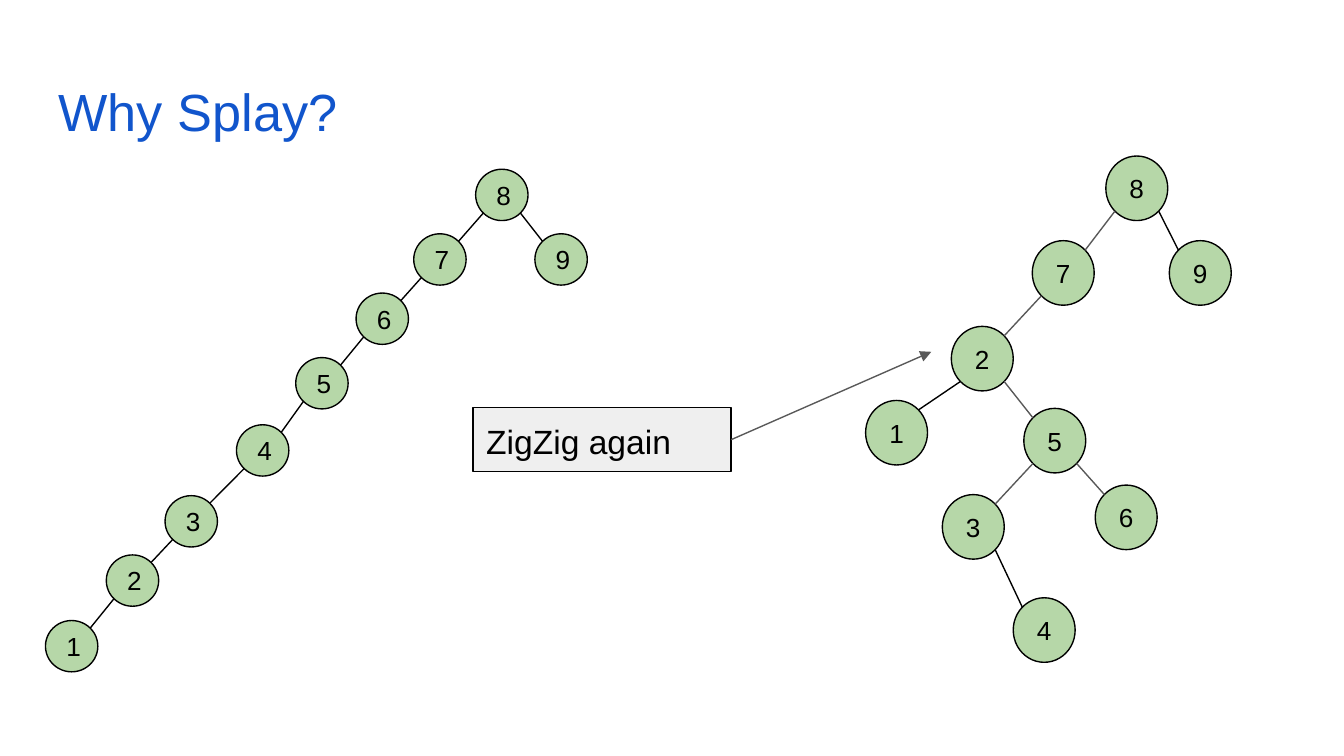
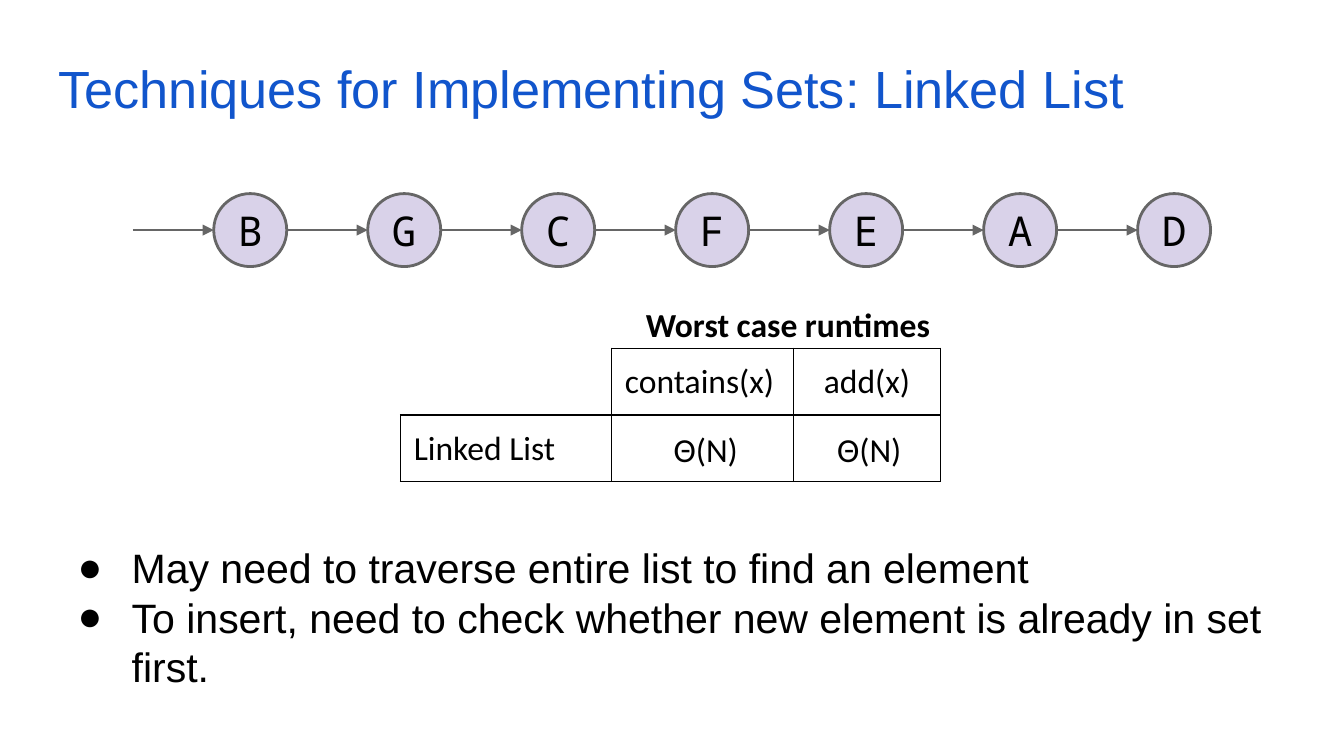
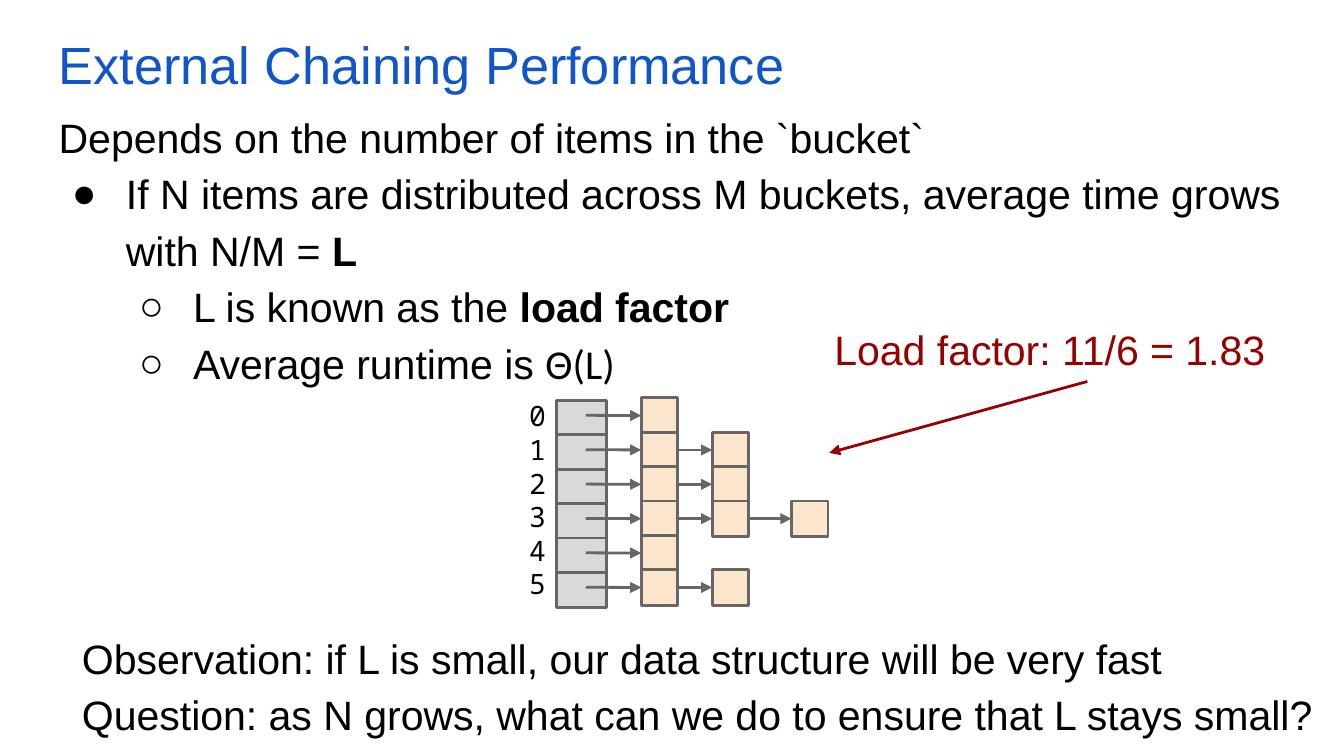
from dataclasses import dataclass
from math import sqrt
from typing import NamedTuple

from lxml.etree import SubElement
from pptx import Presentation
from pptx.dml.color import RGBColor as Rgb
from pptx.enum.shapes import MSO_CONNECTOR as Link, MSO_SHAPE as Kind
from pptx.enum.text import MSO_ANCHOR as Anchor, PP_ALIGN as Align
from pptx.oxml.ns import qn
from pptx.util import Cm, Pt

# Shared look
COLORS = {
    "title": "1155CC", "ink": "000000", "green": "B6D7A8", "pale": "EFEFEF",
    "edge": "595959", "gray": "666666", "lilac": "D9D2E9",
    "slot": "D9D9D9", "peach": "FCE5CD", "red": "980000",
}
SANS, BODY, MONO = "Arial", "Calibri", "Noto Sans Mono"
PAD = Cm(0.25)
HANG = 1.02


class Run(NamedTuple):
    text: str
    bold: bool = False
    font: str | None = None


class Para(NamedTuple):
    runs: list[Run]
    bullet: str = ""
    level: int = 0


class Box(NamedTuple):
    left: float
    top: float
    width: float
    height: float

    def cm(self) -> list[int]:
        return [Cm(v) for v in self]

    def corner(self, right: bool, low: bool) -> tuple[float, float]:
        """Point on the inscribed ellipse at 45 degrees."""
        x, y = [(1 + (1 if far else -1) / sqrt(2)) / 2 for far in (right, low)]
        return self.left + x * self.width, self.top + y * self.height


class Edge(NamedTuple):
    top: str
    low: str
    color: str = "ink"


@dataclass
class Tree:
    size: tuple[float, float]
    spots: dict[str, tuple[float, float]]
    edges: list[Edge]
    align: Align


def rgb(name: str) -> Rgb:
    return Rgb.from_string(COLORS[name])


# Text
def write(frame, text, *, size=22, font=SANS, color="ink", bold=False,
          align=Align.LEFT, anchor=Anchor.TOP, spacing=None):
    """Fill a frame with a string or a list of paragraphs."""
    frame.margin_left = frame.margin_right = PAD
    frame.margin_top = frame.margin_bottom = PAD
    frame.word_wrap = True
    frame.vertical_anchor = anchor
    paras = [Para([Run(text)])] if isinstance(text, str) else text
    for i, item in enumerate(paras):
        para = frame.add_paragraph() if i else frame.paragraphs[0]
        para.alignment, para.level = align, item.level
        if spacing:
            para.line_spacing = spacing
        if item.bullet:
            props = para._p.get_or_add_pPr()
            props.set("marL", str(Cm(1.27 * (item.level + 1))))
            props.set("indent", str(-Cm(HANG)))
            SubElement(props, qn("a:buFont"), typeface=SANS)
            SubElement(props, qn("a:buChar"), char=item.bullet)
        for part in item.runs:
            run = para.add_run()
            run.text = part.text
            run.font.size = Pt(size)
            run.font.name = part.font or font
            run.font.bold = bold or part.bold
            run.font.color.rgb = rgb(color)


def label(slide, box: Box, text, **form):
    write(slide.shapes.add_textbox(*box.cm()).text_frame, text, **form)


def plain(*lines: str) -> list[Para]:
    return [Para([Run(line)]) for line in lines]


# Shapes and lines
def block(shapes, kind: Kind, box: Box, fill: str, line="gray", width=1.5):
    shape = shapes.add_shape(kind, *box.cm())
    shape.shadow.inherit = False
    shape.fill.solid()
    shape.fill.fore_color.rgb = rgb(fill)
    shape.line.color.rgb = rgb(line)
    shape.line.width = Pt(width)
    return shape


def draw(shapes, start, end, color="gray", width=1.5, arrow=True):
    line = shapes.add_connector(Link.STRAIGHT, *[Cm(v) for v in (*start, *end)])
    line.line.color.rgb = rgb(color)
    line.line.width = Pt(width)
    if arrow:
        SubElement(line.line._get_or_add_ln(), qn("a:tailEnd"), type="triangle")
    SubElement(line._element.spPr, qn("a:effectLst"))
    return line


def rule(cell, sides: str):
    """Draw thin borders on the given sides and clear the others."""
    props = cell._tc.get_or_add_tcPr()
    for i, side in enumerate("LRTB"):
        ln = SubElement(props, qn(f"a:ln{side}"), w=str(Pt(0.75)))
        if side in sides:
            fill = SubElement(ln, qn("a:solidFill"))
            SubElement(fill, qn("a:srgbClr"), val=COLORS["ink"])
        else:
            SubElement(ln, qn("a:noFill"))
        props.insert(i, ln)


def page(deck, title: str, top: float):
    slide = deck.slides.add_slide(deck.slide_layouts[6])
    label(slide, Box(0.86, top, 23.67, 1.6), title, size=28, color="title")
    return slide


# Slide 1: two search trees
LONG = Tree(
    (0.99, 0.97),
    {"1": (0.86, 11.73), "2": (2.01, 10.49), "3": (3.12, 9.37),
     "4": (4.47, 8.03), "5": (5.59, 6.76), "6": (6.73, 5.54),
     "7": (7.82, 4.42), "8": (8.99, 3.2), "9": (10.11, 4.42)},
    [Edge(str(n), str(n - 1)) for n in range(8, 1, -1)] + [Edge("8", "9")],
    Align.LEFT,
)
SPLAY = Tree(
    (1.17, 1.22),
    {"1": (16.36, 7.57), "2": (17.98, 6.17), "3": (17.81, 9.35),
     "4": (19.15, 11.3), "5": (19.35, 7.72), "6": (20.7, 9.17),
     "7": (19.51, 4.55), "8": (20.9, 2.95), "9": (22.1, 4.55)},
    [Edge("2", "1"), Edge("8", "9"), Edge("3", "4")]
    + [Edge(a, b, "edge") for a, b in ("87", "72", "25", "56", "53")],
    Align.CENTER,
)


def plant(slide, tree: Tree):
    nodes = {key: Box(*spot, *tree.size) for key, spot in tree.spots.items()}
    for key, box in nodes.items():
        node = block(slide.shapes, Kind.OVAL, box, "green", "ink", 0.75)
        write(node.text_frame, key, size=14, align=tree.align,
              anchor=Anchor.MIDDLE)
    for edge in tree.edges:
        top, low = nodes[edge.top], nodes[edge.low]
        right = low.left > top.left
        draw(slide.shapes, top.corner(right, True), low.corner(not right, False),
             edge.color, 0.75, arrow=False)


def trees(deck):
    slide = page(deck, "Why Splay?", 1.24)
    plant(slide, LONG)
    plant(slide, SPLAY)
    note = block(slide.shapes, Kind.RECTANGLE, Box(8.94, 7.7, 4.88, 1.22),
                 "pale", "ink", 0.75)
    write(note.text_frame, "ZigZig again", size=18)
    arrow = draw(slide.shapes, (13.82, 8.31), (17.6, 6.65), "edge", 0.75)
    arrow.begin_connect(note, 3)


# Slide 2: linked list and its runtimes
def chain(slide):
    shapes = slide.shapes.add_group_shape().shapes
    left, top, size, step = 4.04, 3.66, 1.38, 2.91
    mid = top + size / 2
    for i, name in enumerate("BGCFEAD"):
        x = left + i * step
        node = block(shapes, Kind.OVAL, Box(x, top, size, size), "lilac")
        write(node.text_frame, name, font=MONO, align=Align.CENTER,
              anchor=Anchor.MIDDLE)
        draw(shapes, (x - step + size, mid), (x, mid))


def costs(slide):
    wides, high = (3.99, 3.43, 2.79), 1.07
    box = Box(7.57, 6.58, sum(wides), 2 * high)
    table = slide.shapes.add_table(2, 3, *box.cm()).table
    table.first_row = table.horz_banding = False
    for col, wide in zip(table.columns, wides):
        col.width = Cm(wide)
    for row in table.rows:
        row.height = Cm(high)
    texts = [["", "contains(x)", "add(x)"], ["Linked List", "", ""]]
    for r, line in enumerate(texts):
        for c, text in enumerate(line):
            cell = table.cell(r, c)
            cell.fill.background()
            rule(cell, "LRTB" if r or c else "RB")
            cell.margin_left = cell.margin_right = PAD
            cell.margin_top = cell.margin_bottom = PAD
            if text:
                write(cell.text_frame, text, size=18, font=BODY,
                      align=Align.CENTER if c == 2 else Align.LEFT)
    label(slide, Box(11.56, 5.59, 6.27, 1.09), "Worst case runtimes", size=18,
          font=BODY, bold=True, align=Align.RIGHT, anchor=Anchor.MIDDLE)
    for x in (12.12, 15.21):
        label(slide, Box(x, 7.85, 2.44, 1.09), "Θ(N)", size=18, font=BODY,
              align=Align.CENTER)


def sets(deck):
    slide = page(deck, "Techniques for Implementing Sets: Linked List", 0.81)
    points = ("May need to traverse entire list to find an element",
              "To insert, need to check whether new element is already in set "
              "first.")
    label(slide, Box(0.97, 10.01, 24.43, 3.25),
          [Para([Run(text)], "●") for text in points])
    costs(slide)
    chain(slide)


# Slide 3: buckets with external chains
def hashes(slide):
    shapes, step, side = slide.shapes, 0.65, 0.69
    counts, lefts = (1, 2, 2, 3, 1, 2), (12.12, 13.46, 14.96)
    for i in range(len(counts)):
        block(shapes, Kind.RECTANGLE, Box(10.52, 7.57 + i * step, 0.94, 0.66),
              "slot")
    for i, count in enumerate(counts):
        y, last = 7.52 + i * step, None
        for x in lefts[:count]:
            item = block(shapes, Kind.RECTANGLE, Box(x, y, side, 0.67), "peach")
            arrow = draw(shapes, (11.07, y + 0.33), (x, y + 0.33))
            if last:
                arrow.begin_connect(last, 3)
            arrow.end_connect(item, 1)
            last = item
    label(slide, Box(9.75, 7.29, 0.81, 4.14), plain(*"012345"), size=15,
          font=MONO, align=Align.RIGHT)


def load(deck):
    slide = page(deck, "External Chaining Performance", 0.36)
    label(slide, Box(0.86, 1.73, 23.67, 5.56), [
        Para([Run("Depends on the number of items in the `bucket`")]),
        Para([Run("If N items are distributed across M buckets, average time "
                  "grows with N/M = "), Run("L", True)], "●"),
        Para([Run("L is known as the "), Run("load factor", True)], "○", 1),
        Para([Run("Average runtime is "), Run("Θ(L)", font=BODY)], "○", 1),
    ], spacing=1.15)
    hashes(slide)
    label(slide, Box(15.52, 5.89, 9.88, 1.09), "Load factor: 11/6 = 1.83",
          color="red")
    draw(slide.shapes, (20.55, 7.21), (15.67, 8.56), "red")
    label(slide, Box(1.3, 11.58, 24.1, 2.57), plain(
        "Observation: if L is small, our data structure will be very fast",
        "Question: as N grows, what can we do to ensure that L stays small?",
    ), spacing=1.15)


def main():
    deck = Presentation()
    deck.slide_width, deck.slide_height = Cm(25.4), Cm(14.29)
    for build in (trees, sets, load):
        build(deck)
    deck.save("out.pptx")


if __name__ == "__main__":
    main()
